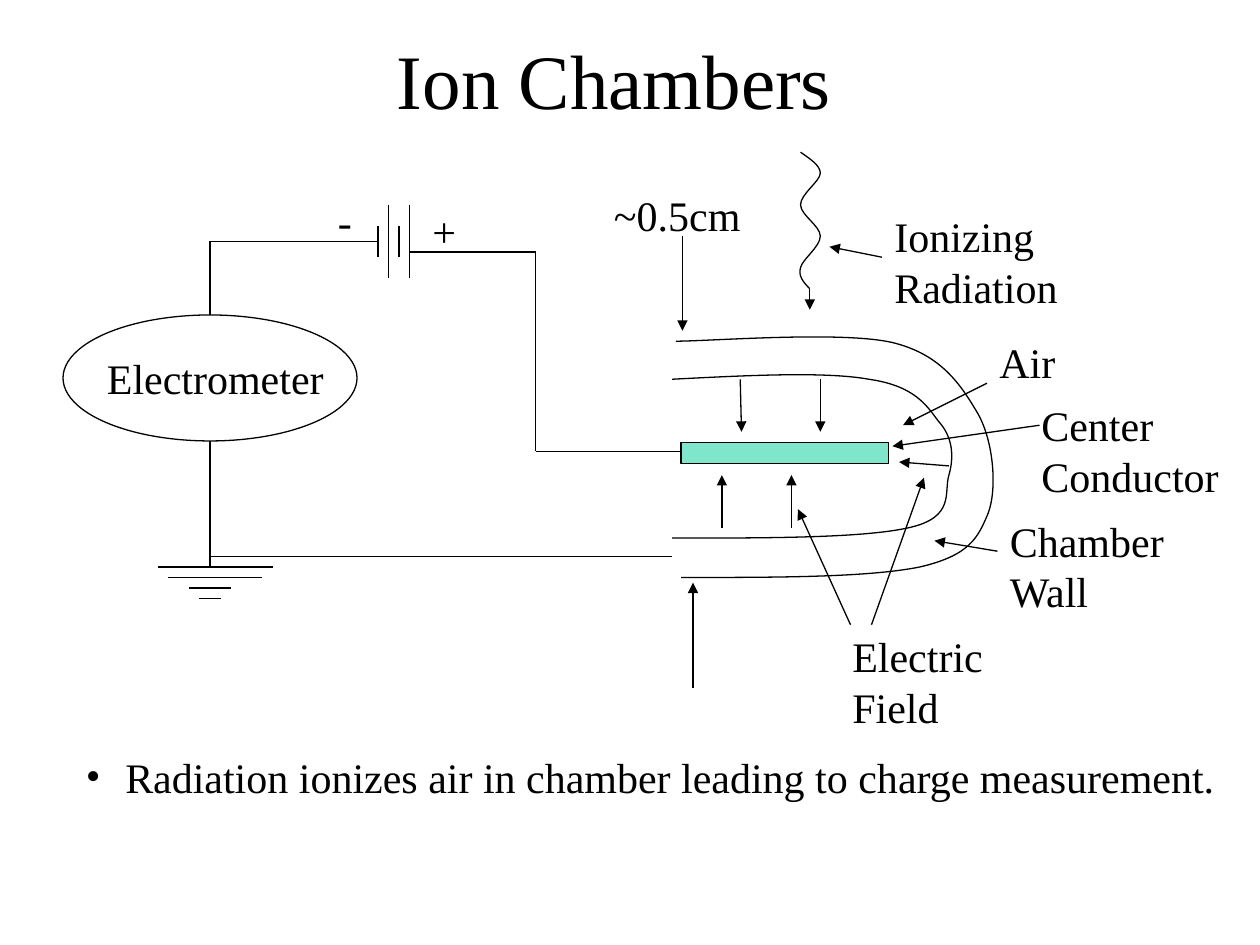
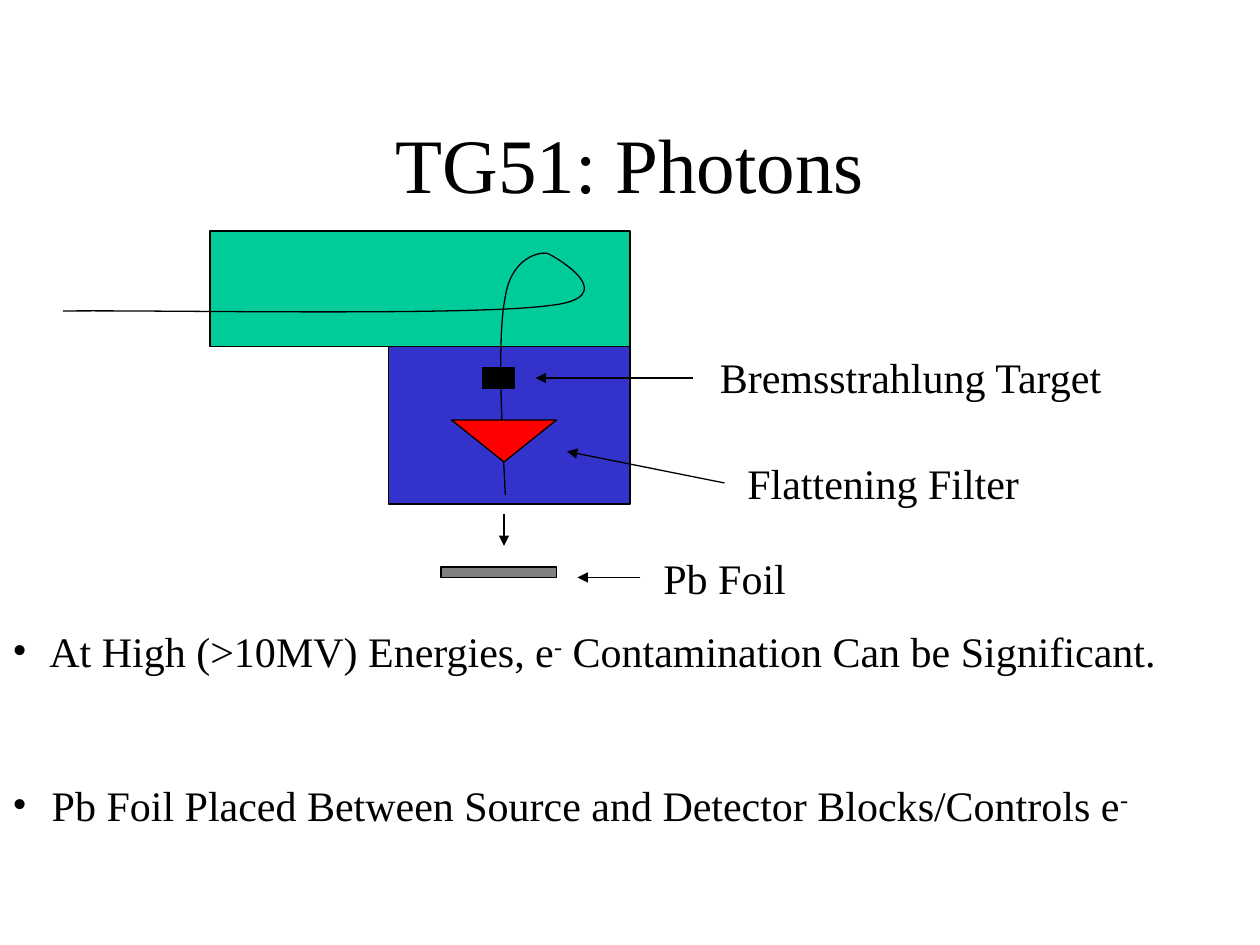
from itertools import chain

from lxml import etree
from pptx import Presentation
from pptx.dml.color import RGBColor
from pptx.enum.shapes import MSO_CONNECTOR, MSO_SHAPE
from pptx.enum.text import MSO_ANCHOR, PP_ALIGN
from pptx.oxml.ns import qn
from pptx.util import Pt

PX = 9525
FONT = "Times New Roman"
TITLE_SIZE, BODY_SIZE, SPACE_BEFORE = 44, 24, 15
LINE_WIDTH = 0.75
BULLET_INDENT = 22

BLACK = RGBColor(0x00, 0x00, 0x00)
GREEN = RGBColor(0x00, 0xCC, 0x99)
BLUE = RGBColor(0x33, 0x33, 0xCC)
RED = RGBColor(0xFF, 0x00, 0x00)
GRAY = RGBColor(0x80, 0x80, 0x80)

RECT, OVAL = MSO_SHAPE.RECTANGLE, MSO_SHAPE.OVAL
TRIANGLE = MSO_SHAPE.ISOSCELES_TRIANGLE
STRAIGHT = MSO_CONNECTOR.STRAIGHT
LEFT, CENTER = PP_ALIGN.LEFT, PP_ALIGN.CENTER
MIDDLE = MSO_ANCHOR.MIDDLE

BATTERY_PLATES = [(288, 12), (296, 28), (304, 12), (312, 28)]
BATTERY_Y = 184
GROUND_BARS = [(164, 44), (164, 36), (160, 16), (160, 8)]
GROUND_TOP, GROUND_STEP = 432, 8

ION_CHAMBER = {
    "title": ("Ion Chambers", (200, 0, 536, 120)),
    "curves": [
        ((512, 289), [(570, 286, 629, 283, 662, 289), (697, 294, 706, 309, 715, 321),
                      (726, 333, 727, 348, 723, 362), (719, 375, 728, 394, 693, 402),
                      (658, 410, 585, 410, 512, 410)]),
        ((515, 260), [(541, 260, 641, 252, 680, 261), (717, 270, 732, 293, 745, 315),
                      (757, 336, 760, 372, 753, 391), (745, 410, 739, 423, 701, 432),
                      (661, 440, 592, 440, 519, 440)]),
        ((610, 116), [(617, 121, 625, 126, 625, 132), (625, 138, 610, 148, 610, 156),
                      (610, 164, 625, 172, 625, 180), (625, 188, 611, 198, 610, 204),
                      (608, 210, 612, 215, 617, 220)]),
    ],
    "blocks": [
        (RECT, (519, 337, 158, 16), GREEN, 50, 0),
        (OVAL, (48, 240, 224, 96), None, 100, 0),
    ],
    "wires": [
        (520, 344, 408, 344), (408, 344, 408, 192), (408, 192, 312, 192),
        (288, 184, 160, 184), (160, 184, 160, 240), (512, 424, 280, 424),
        (160, 336, 160, 432), (160, 424, 280, 424),
    ] + [(x, BATTERY_Y - half, x, BATTERY_Y + half) for x, half in BATTERY_PLATES]
      + [(x - half, GROUND_TOP + i * GROUND_STEP, x + half, GROUND_TOP + i * GROUND_STEP)
         for i, (x, half) in enumerate(GROUND_BARS)],
    "arrows": [
        (550, 402, 550, 362), (603, 402, 603, 362), (625, 289, 625, 329),
        (564, 289, 565, 329), (723, 355, 685, 352), (617, 220, 617, 236),
        (648, 476, 608, 388), (664, 476, 704, 364), (760, 420, 712, 412),
        (752, 292, 688, 324), (672, 196, 632, 188), (792, 324, 680, 340),
        (520, 180, 520, 252), (528, 524, 528, 444),
    ],
    "labels": [
        ("Chamber Wall", (760, 388, 160, 86), LEFT),
        ("Electric Field", (640, 476, 144, 86), LEFT),
        ("Air", (752, 252, 88, 48), LEFT),
        ("Ionizing Radiation", (672, 156, 192, 86), LEFT),
        ("~0.5cm", (448, 140, 136, 48), CENTER),
        ("Center Conductor", (784, 300, 176, 86), LEFT),
        ("Electrometer", (72, 264, 208, 48), LEFT),
        ("+", (320, 152, 72, 48), LEFT),
        ("-", (248, 144, 32, 48), LEFT),
    ],
    "bullets": ((56, 568, 880, 48), SPACE_BEFORE, [
        [(" Radiation ionizes air in chamber leading to charge measurement.", False)],
    ]),
}

PHOTONS = {
    "title": ("TG51: Photons", (72, 64, 816, 120)),
    "housing": [
        (RECT, (160, 176, 320, 88), GREEN, 100, 0),
        (RECT, (296, 264, 184, 120), BLUE, 100, 0),
    ],
    "curves": [
        ((48, 237), [(109, 236, 355, 241, 417, 233), (478, 227, 422, 195, 417, 193),
                     (412, 192, 390, 195, 385, 226), (379, 256, 382, 317, 385, 377)]),
    ],
    "blocks": [
        (RECT, (368, 280, 24, 16), BLACK, 100, 0),
        (TRIANGLE, (344, 320, 80, 32), RED, 100, 180),
        (RECT, (336, 432, 88, 8), GRAY, 100, 0),
    ],
    "arrows": [
        (384, 392, 384, 416), (528, 288, 408, 288),
        (552, 368, 432, 344), (488, 440, 440, 440),
    ],
    "labels": [
        ("Bremsstrahlung Target", (539, 263, 358, 48), LEFT),
        ("Flattening Filter", (560, 344, 288, 48), LEFT),
        ("Pb Foil", (496, 416, 160, 48), LEFT),
    ],
    "bullets": ((0, 472, 960, 165), 59, [
        [(" At High (>10MV) Energies, e", False), ("-", True),
         (" Contamination Can be Significant.", False)],
        [(" Pb Foil Placed Between Source and Detector Blocks/Controls e", False),
         ("-", True)],
    ]),
}


def emu(*lengths):
    return [length * PX for length in lengths]


def outline(shape):
    shape.line.color.rgb = BLACK
    shape.line.width = Pt(LINE_WIDTH)


def add_run(paragraph, words, size, superscript=False):
    run = paragraph.add_run()
    run.text = words
    run.font.name = FONT
    run.font.size = Pt(size)
    run.font.color.rgb = BLACK
    if superscript:
        run.font._element.set("baseline", "30000")


def add_frame(slide, box):
    frame = slide.shapes.add_textbox(*emu(*box)).text_frame
    frame.word_wrap = True
    return frame


def add_title(slide, words, box):
    frame = add_frame(slide, box)
    frame.vertical_anchor = MIDDLE
    frame.paragraphs[0].alignment = CENTER
    add_run(frame.paragraphs[0], words, TITLE_SIZE)


def add_label(slide, words, box, alignment):
    paragraph = add_frame(slide, box).paragraphs[0]
    paragraph.alignment = alignment
    paragraph.space_before = Pt(SPACE_BEFORE)
    add_run(paragraph, words, BODY_SIZE)


def add_bullet_mark(paragraph):
    properties = paragraph._p.get_or_add_pPr()
    indent = BULLET_INDENT * PX
    properties.set("marL", str(indent))
    properties.set("indent", str(-indent))
    color = etree.SubElement(properties, qn("a:buClr"))
    etree.SubElement(color, qn("a:srgbClr")).set("val", str(BLACK))
    etree.SubElement(properties, qn("a:buFont")).set("typeface", FONT)
    etree.SubElement(properties, qn("a:buChar")).set("char", "•")


def add_bullets(slide, box, gap, points):
    frame = add_frame(slide, box)
    for i, point in enumerate(points):
        paragraph = frame.add_paragraph() if i else frame.paragraphs[0]
        paragraph.space_before = Pt(gap if i else SPACE_BEFORE)
        add_bullet_mark(paragraph)
        for words, superscript in point:
            add_run(paragraph, words, BODY_SIZE, superscript)


def add_line(slide, ends, arrow=False):
    line = slide.shapes.add_connector(STRAIGHT, *emu(*ends))
    outline(line)
    if arrow:
        etree.SubElement(line.line._get_or_add_ln(), qn("a:tailEnd")).set("type", "triangle")
    etree.SubElement(line._element.spPr, qn("a:effectLst"))


def add_block(slide, kind, box, color, opacity, rotation):
    block = slide.shapes.add_shape(kind, *emu(*box))
    block.shadow.inherit = False
    block.rotation = rotation
    outline(block)
    if color is None:
        block.fill.background()
        return
    block.fill.solid()
    block.fill.fore_color.rgb = color
    if opacity < 100:
        tint = block._element.spPr.find(qn("a:solidFill"))[0]
        etree.SubElement(tint, qn("a:alpha")).set("val", str(opacity * 1000))


def add_curve(slide, start, segments):
    builder = slide.shapes.build_freeform(*start, scale=PX)
    coordinates = list(chain.from_iterable(segments))
    builder.add_line_segments(zip(coordinates[::2], coordinates[1::2]), close=False)
    curve = builder.convert_to_shape()
    steps = list(curve._element.iter(qn("a:lnTo")))
    for first in range(0, len(steps), 3):
        bend = etree.Element(qn("a:cubicBezTo"))
        steps[first].addprevious(bend)
        for step in steps[first:first + 3]:
            bend.append(step[0])
            step.getparent().remove(step)
    curve.shadow.inherit = False
    curve.fill.background()
    outline(curve)


def add_slide(deck, content):
    slide = deck.slides.add_slide(deck.slide_layouts[6])
    add_title(slide, *content["title"])
    for block in content.get("housing", []):
        add_block(slide, *block)
    for curve in content["curves"]:
        add_curve(slide, *curve)
    for block in content["blocks"]:
        add_block(slide, *block)
    for wire in content.get("wires", []):
        add_line(slide, wire)
    for arrow in content["arrows"]:
        add_line(slide, arrow, arrow=True)
    for label in content["labels"]:
        add_label(slide, *label)
    add_bullets(slide, *content["bullets"])


def main():
    deck = Presentation()
    deck.slide_width, deck.slide_height = emu(960, 720)
    for content in (ION_CHAMBER, PHOTONS):
        add_slide(deck, content)
    deck.save("out.pptx")


if __name__ == "__main__":
    main()
